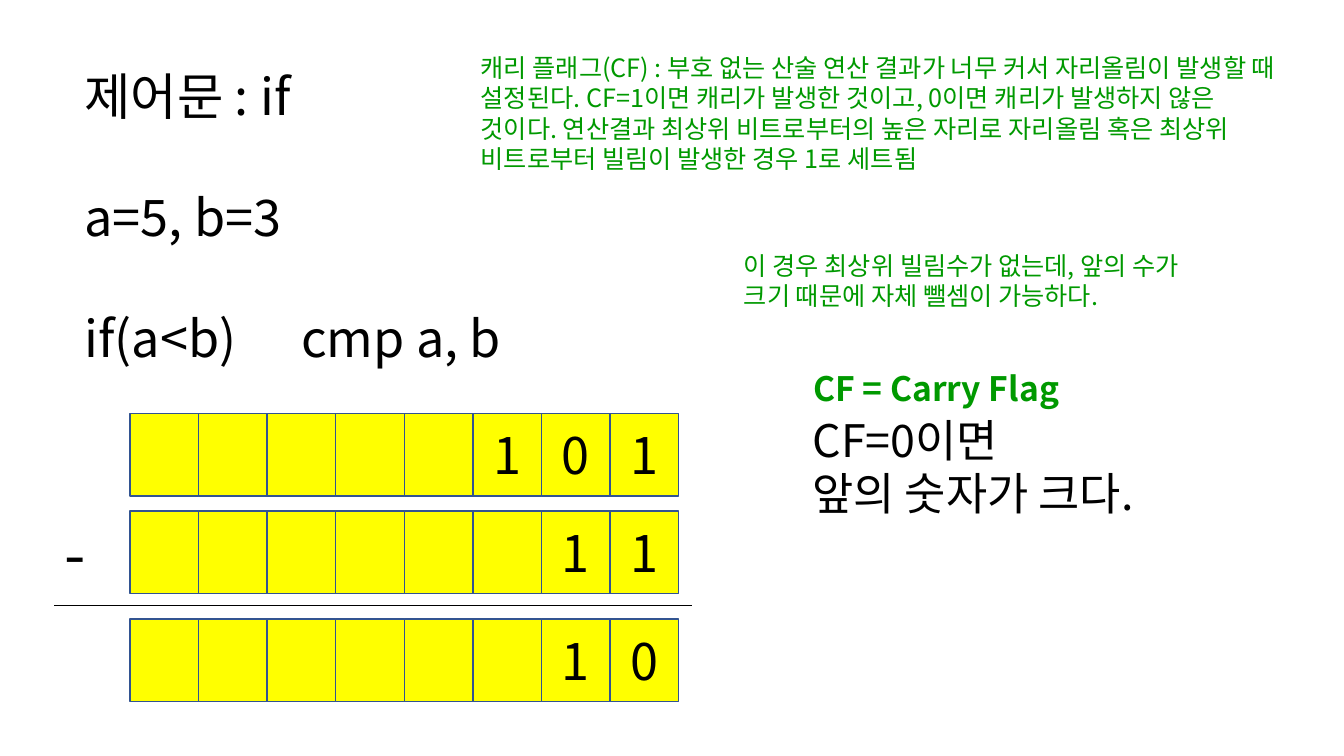
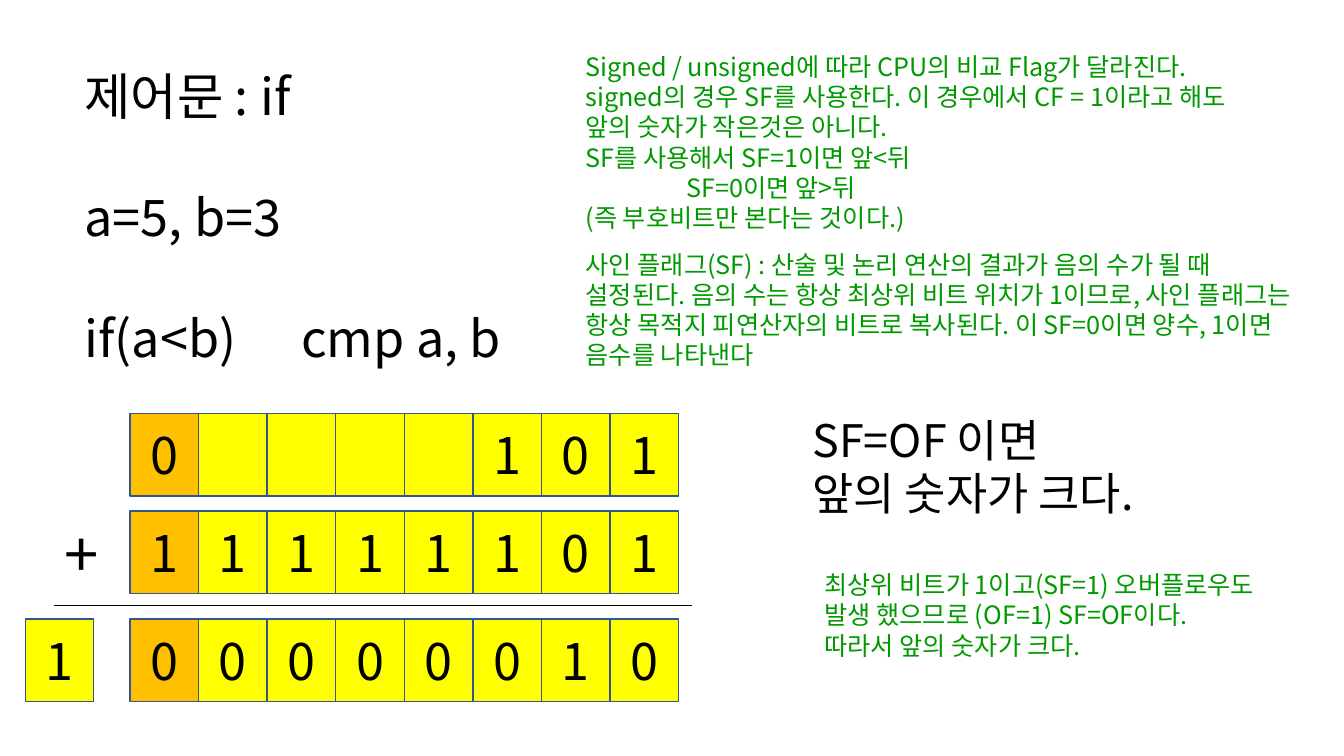
from lxml.etree import SubElement
from pptx import Presentation
from pptx.dml.color import RGBColor
from pptx.enum.shapes import MSO_CONNECTOR, MSO_SHAPE
from pptx.enum.text import MSO_ANCHOR, PP_ALIGN
from pptx.oxml.ns import qn
from pptx.util import Inches, Pt

RECT, LINE = MSO_SHAPE.RECTANGLE, MSO_CONNECTOR.STRAIGHT
LEFT, CENTER = PP_ALIGN.LEFT, PP_ALIGN.CENTER
TOP, MIDDLE = MSO_ANCHOR.TOP, MSO_ANCHOR.MIDDLE

FONT = "Noto Sans CJK KR"
BLACK = RGBColor(0x00, 0x00, 0x00)
GREEN = RGBColor(0x00, 0x99, 0x00)
YELLOW = RGBColor(0xFF, 0xFF, 0x00)
ORANGE = RGBColor(0xFF, 0xC0, 0x00)
BLUE = RGBColor(0x32, 0x54, 0x91)

# Content: "." is an empty bit; an entry (inches, text) is an indented paragraph
HEAD = ["제어문 : if", "a=5, b=3", "if(a<b)\tcmp a, b"]
BIGGER = "앞의 숫자가 크다."
SLIDES = [
    {
        "bits": [".....101", "......11", "......10"],
        "sign": "-", "carry": None, "first": YELLOW,
        "result": ["CF=0이면", BIGGER],
        "notes": [
            ((7.28, 2.43, 4.88, 1.01),
             ["이 경우 최상위 빌림수가 없는데, 앞의 수가 크기 때문에 자체 뺄셈이 가능하다."], {}),
            ((7.97, 3.6, 3.97, 0.51), ["CF = Carry Flag"],
             {"size": 24, "bold": True}),
            ((4.67, 0.47, 8.17, 1.31),
             ["캐리 플래그(CF) : 부호 없는 산술 연산 결과가 너무 커서 자리올림이 발생할 때 "
              "설정된다. CF=1이면 캐리가 발생한 것이고, 0이면 캐리가 발생하지 않은 것이다. "
              "연산결과 최상위 비트로부터의 높은 자리로 자리올림 혹은 최상위 비트로부터 "
              "빌림이 발생한 경우 1로 세트됨"], {}),
        ],
    },
    {
        "bits": ["0....101", "11111101", "00000010"],
        "sign": "+", "carry": "1", "first": ORANGE,
        "result": ["SF=OF 이면", BIGGER],
        "notes": [
            ((5.71, 0.46, 6.55, 1.92),
             ["Signed / unsigned에 따라 CPU의 비교 Flag가 달라진다.",
              "signed의 경우 SF를 사용한다. 이 경우에서 CF = 1이라고 해도 앞의 숫자가 "
              "작은것은 아니다.",
              "SF를 사용해서 SF=1이면 앞<뒤",
              (1, "SF=0이면 앞>뒤"),
              "(즉 부호비트만 본다는 것이다.)"], {}),
            ((5.71, 2.42, 7.35, 1.31),
             ["사인 플래그(SF) : 산술 및 논리 연산의 결과가 음의 수가 될 때 설정된다. "
              "음의 수는 항상 최상위 비트 위치가 1이므로, 사인 플래그는 항상 목적지 "
              "피연산자의 비트로 복사된다. 이 SF=0이면 양수, 1이면 음수를 나타낸다"], {}),
            ((8.08, 5.6, 4.46, 1.01),
             ["최상위 비트가 1이고(SF=1) 오버플로우도 발생 했으므로 (OF=1) SF=OF이다. "
              "따라서 앞의 숫자가 크다."], {}),
        ],
    },
]

# Bit grid
GRID_X, CELL_W, CELL_H = 1.29, 0.68, 0.82
ROWS = [4.1, 5.07, 6.14]
CARRY_X = 0.25


def write(shape, lines, size=36, color=BLACK, bold=False, align=LEFT,
          anchor=TOP, gap=0, tab=None):
    frame = shape.text_frame
    frame.word_wrap = True
    frame.vertical_anchor = anchor
    for i, line in enumerate(lines):
        indent, text = line if isinstance(line, tuple) else (0, line)
        para = frame.add_paragraph() if i else frame.paragraphs[0]
        para.alignment = align
        if i and gap:
            para.space_before = Pt(gap)
        props = para._p.get_or_add_pPr()
        if indent:
            props.set("marL", str(Inches(indent)))
        if tab and "\t" in text:
            tabs = SubElement(props, qn("a:tabLst"))
            SubElement(tabs, qn("a:tab"), pos=str(Inches(tab)), algn="l")
        run = para.add_run()
        run.text = text
        font = run.font
        font.name, font.size, font.bold = FONT, Pt(size), bold
        font.color.rgb = color
        SubElement(run._r.get_or_add_rPr(), qn("a:ea"), typeface=FONT)


def label(slide, box, lines, **style):
    write(slide.shapes.add_textbox(*map(Inches, box)), lines, **style)


def cell(slide, x, y, bit, fill):
    box = slide.shapes.add_shape(RECT, *map(Inches, (x, y, CELL_W, CELL_H)))
    box.shadow.inherit = False
    box.fill.solid()
    box.fill.fore_color.rgb = fill
    box.line.color.rgb = BLUE
    box.line.width = Pt(1)
    if bit != ".":
        write(box, [bit], align=CENTER, anchor=MIDDLE)


def rule(slide, x1, x2, y):
    line = slide.shapes.add_connector(LINE, *map(Inches, (x1, y, x2, y)))
    line.line.color.rgb = BLACK
    line.line.width = Pt(0.5)
    SubElement(line._element.spPr, qn("a:effectLst"))


def build(slide, data):
    label(slide, (0.74, 0.6, 4.97, 3.13), HEAD, gap=43.2, tab=2.15)

    # Binary sum
    for y, bits in zip(ROWS, data["bits"]):
        for col, bit in enumerate(bits):
            fill = YELLOW if col else data["first"]
            cell(slide, GRID_X + col * CELL_W, y, bit, fill)
    if data["carry"]:
        cell(slide, CARRY_X, ROWS[-1], data["carry"], YELLOW)
    label(slide, (0.54, ROWS[1], 0.63, 0.84), [data["sign"]], size=44)
    rule(slide, 0.54, 6.86, 6.01)

    # Result and notes
    label(slide, (7.96, 4.04, 3.76, 1.18), data["result"], size=32)
    for box, lines, style in data["notes"]:
        label(slide, box, lines, **{"size": 18, "color": GREEN, **style})


def main():
    deck = Presentation()
    deck.slide_width, deck.slide_height = Inches(13.33), Inches(7.5)
    for data in SLIDES:
        build(deck.slides.add_slide(deck.slide_layouts[6]), data)
    deck.save("out.pptx")


if __name__ == "__main__":
    main()
